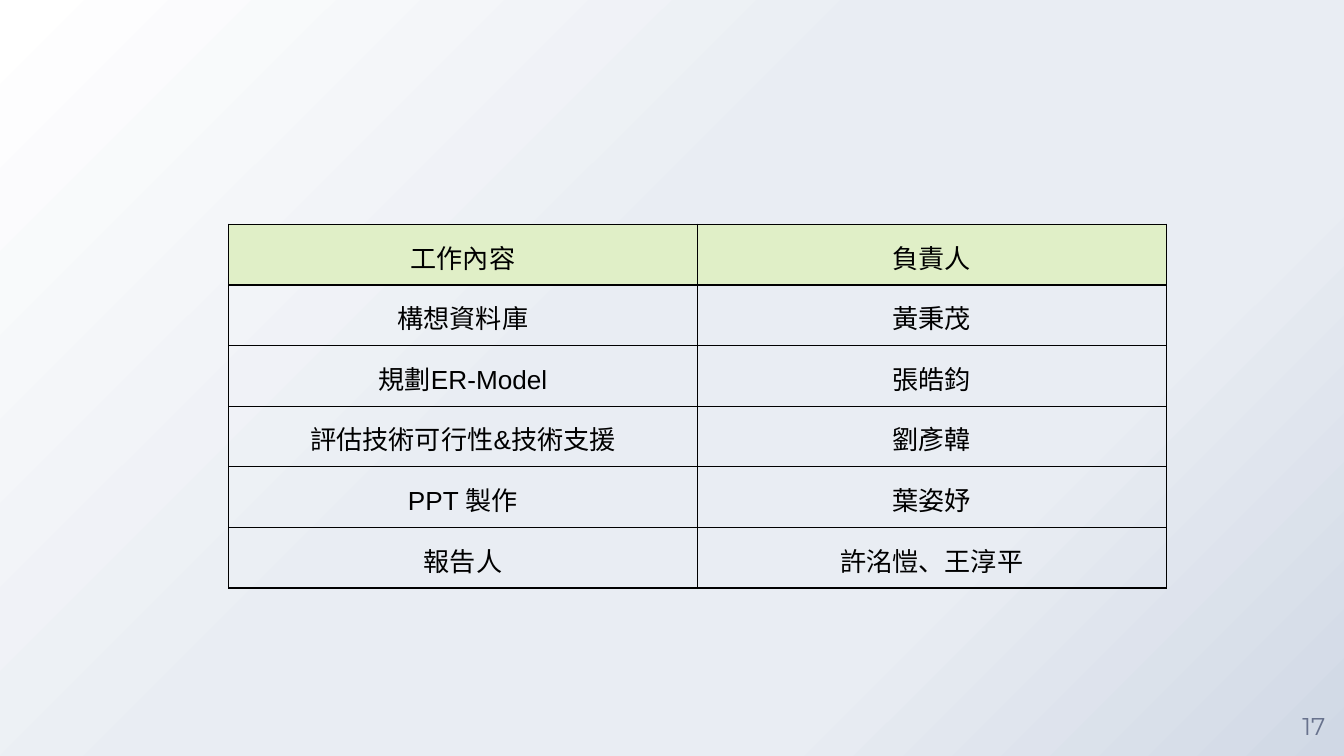
from pptx import Presentation
from pptx.dml.color import RGBColor
from pptx.enum.text import MSO_ANCHOR as Anchor, PP_ALIGN as Align
from pptx.oxml import parse_xml
from pptx.oxml.ns import nsdecls, qn
from pptx.util import Cm, Pt

BLACK = RGBColor(0x00, 0x00, 0x00)
GREEN = RGBColor(0xE0, 0xEF, 0xC7)
SLATE = RGBColor(0x68, 0x72, 0x8D)
WHITE = RGBColor(0xFF, 0xFF, 0xFF)
MIST = RGBColor(0xE9, 0xED, 0xF3)
STEEL = RGBColor(0xD0, 0xD8, 0xE5)

STOPS = [(0, WHITE), (44, MIST), (72, MIST), (100, STEEL)]
ROWS = [
    ("工作內容", "負責人"),
    ("構想資料庫", "黃秉茂"),
    ("規劃ER-Model", "張皓鈞"),
    ("評估技術可行性&技術支援", "劉彥韓"),
    ("PPT 製作", "葉姿妤"),
    ("報告人", "許洺愷、王淳平"),
]


def add_run(frame, text, font, size, color):
    """Put one centred run into the first paragraph of a text frame."""
    para = frame.paragraphs[0]
    para.alignment = Align.CENTER
    run = para.add_run()
    run.text = text
    run.font.name = font
    run.font.size = Pt(size)
    run.font.color.rgb = color


def add_edges(cell):
    """Draw a thin black line on all four sides of a cell."""
    props = cell._tc.get_or_add_tcPr()
    for side in "LRTB":
        props.append(parse_xml(
            f'<a:ln{side} {nsdecls("a")} w="{Pt(0.75)}"><a:solidFill>'
            f'<a:srgbClr val="{BLACK}"/></a:solidFill></a:ln{side}>'))


prs = Presentation()
prs.slide_width = Cm(25.4)
prs.slide_height = Cm(14.29)
slide = prs.slides.add_slide(prs.slide_layouts[6])

# Background: diagonal gradient
back = slide.background.fill
back.gradient()
back.gradient_angle = 315
stops = slide.element.find(".//" + qn("a:gsLst"))
for stop in list(stops):
    stops.remove(stop)
for pos, color in STOPS:
    stops.append(parse_xml(
        f'<a:gs {nsdecls("a")} pos="{pos * 1000}">'
        f'<a:srgbClr val="{color}"/></a:gs>'))

# Slide number
box = slide.shapes.add_textbox(Cm(24.26), Cm(13.15), Cm(1.14), Cm(1.14))
frame = box.text_frame
frame.word_wrap = True
frame.vertical_anchor = Anchor.MIDDLE
frame.margin_left = frame.margin_right = Cm(0)
frame.margin_top = frame.margin_bottom = Cm(0)
add_run(frame, "17", "Montserrat", 13, SLATE)

# Task table
table = slide.shapes.add_table(
    len(ROWS), 2, Cm(4.32), Cm(4.24), Cm(17.72), Cm(6.88)).table
table.horz_banding = False
for r, row in enumerate(ROWS):
    for c, text in enumerate(row):
        cell = table.cell(r, c)
        cell.margin_left = cell.margin_right = Cm(0.25)
        cell.margin_top = cell.margin_bottom = Cm(0.25)
        add_edges(cell)
        if r == 0:
            cell.fill.solid()
            cell.fill.fore_color.rgb = GREEN
        else:
            cell.fill.background()
        add_run(cell.text_frame, text, "Arial", 14, BLACK)
        cell.text_frame.paragraphs[0].runs[0].font.bold = False

prs.save("out.pptx")
